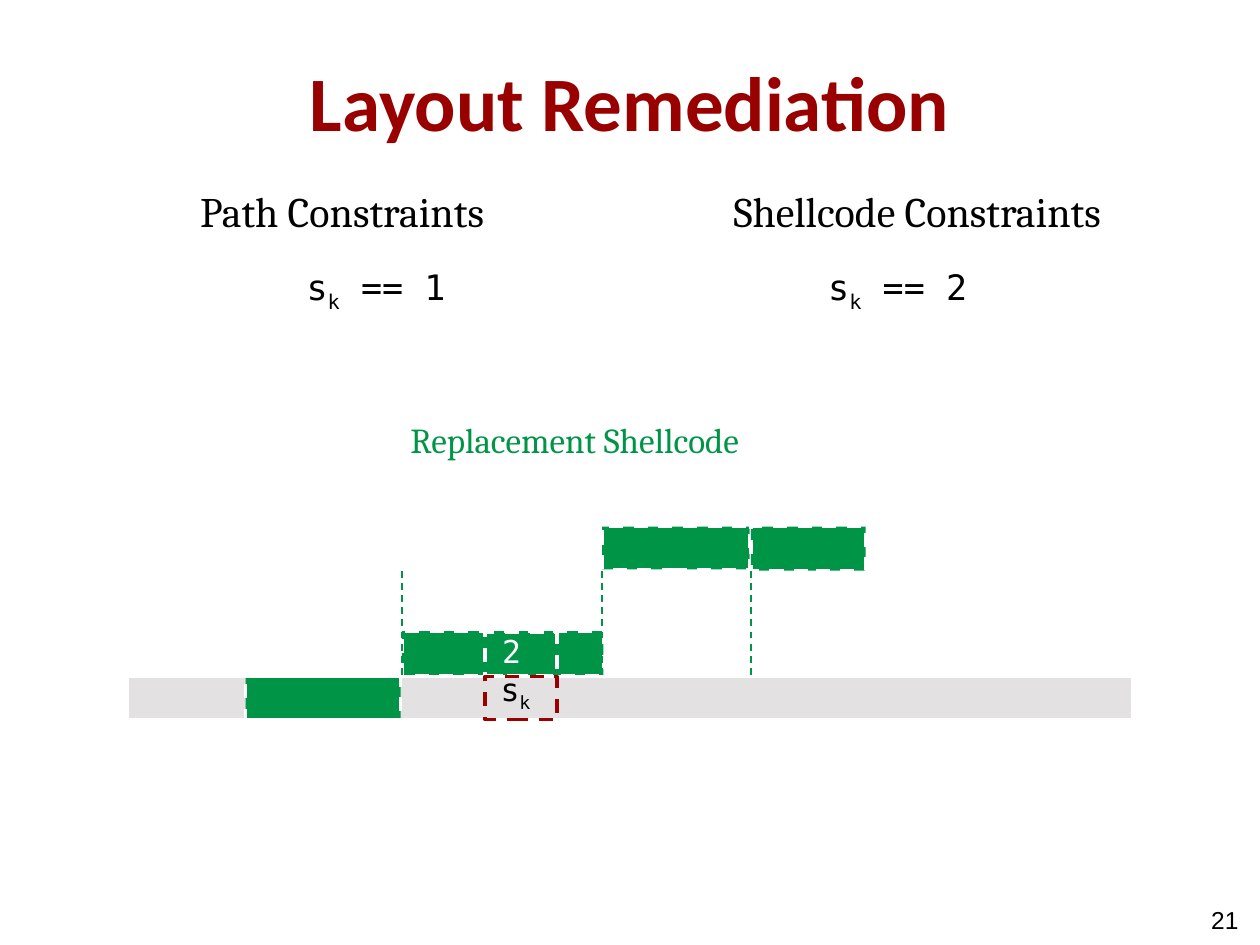
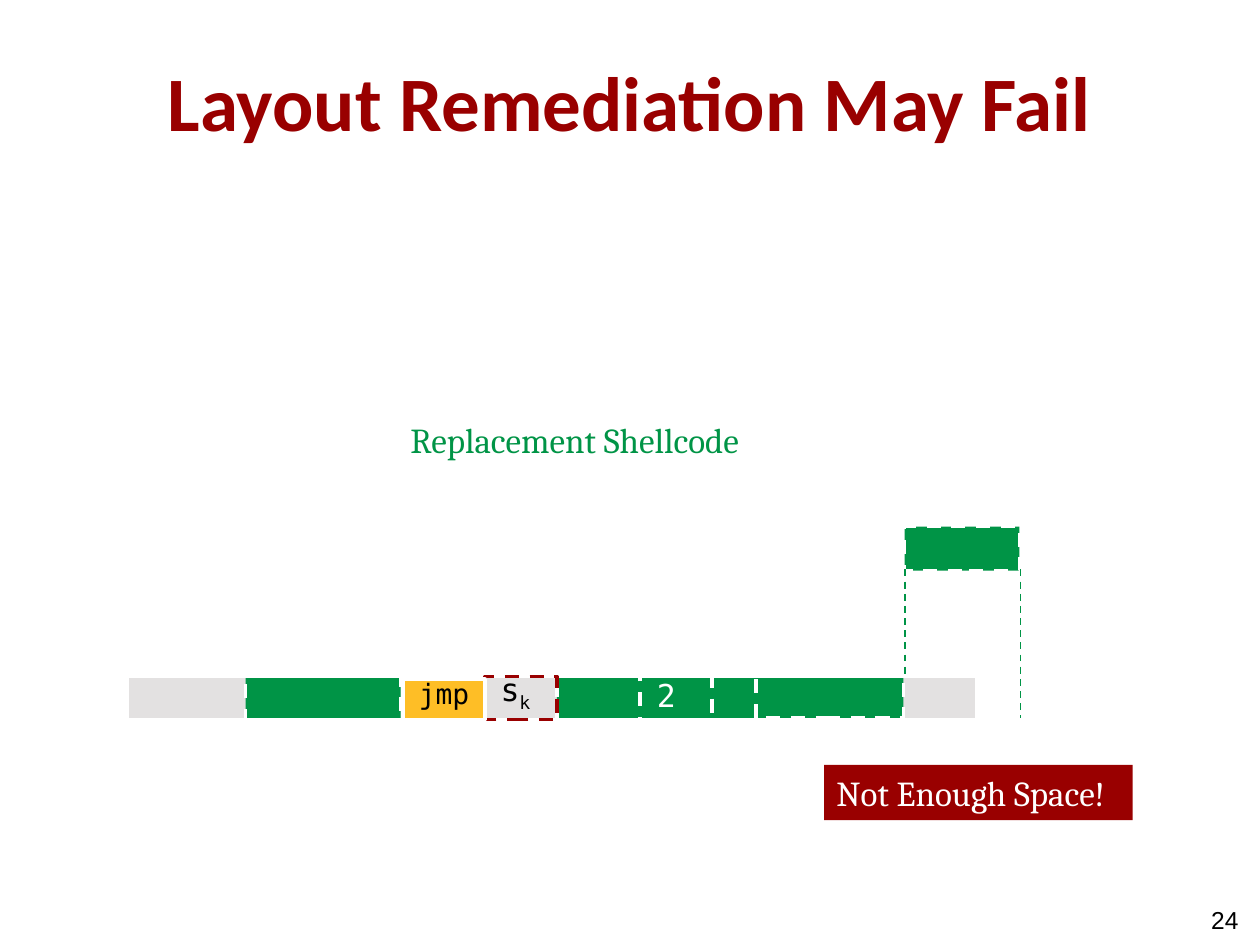
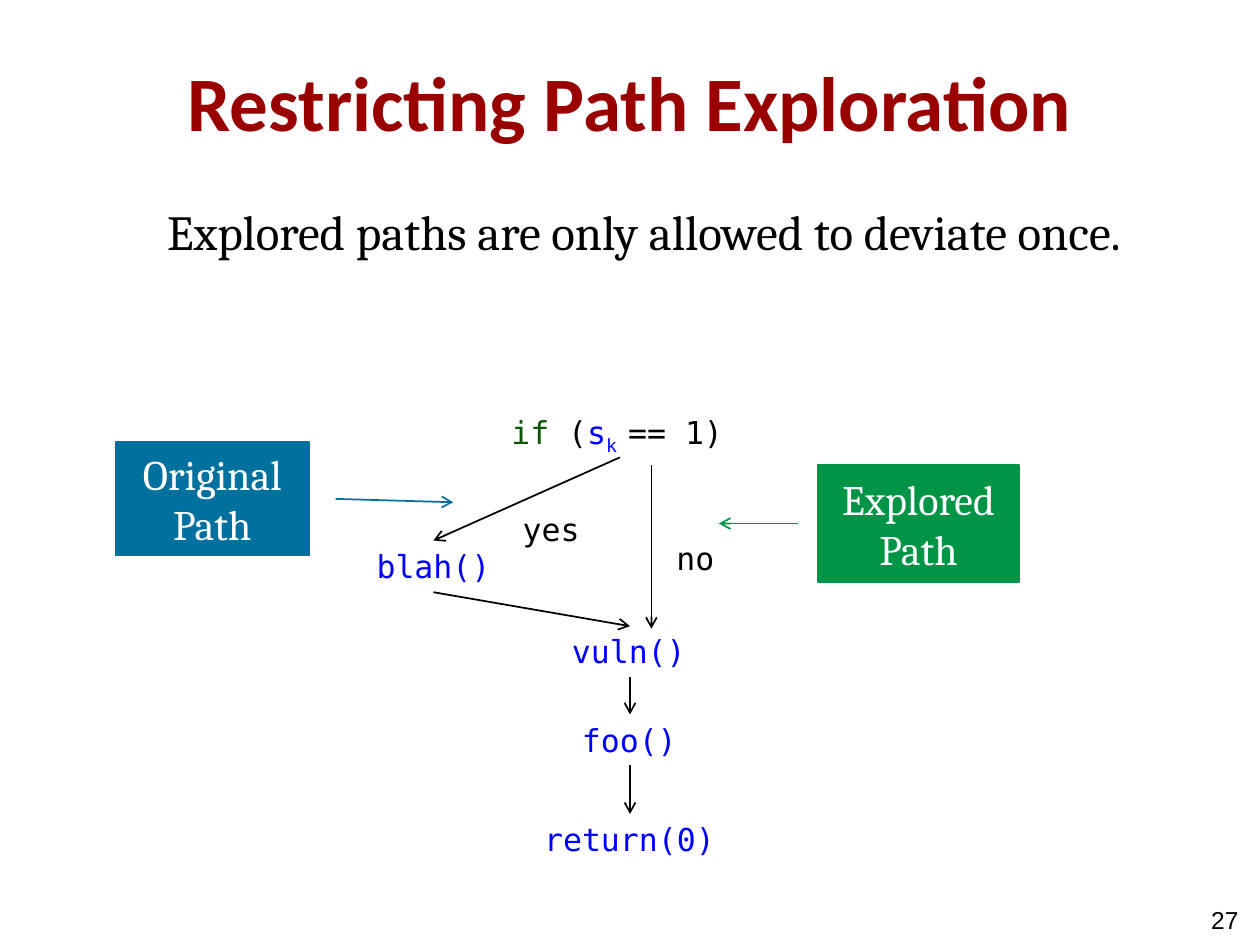
from pptx import Presentation
from pptx.dml.color import RGBColor
from pptx.enum.dml import MSO_LINE as Dash
from pptx.enum.shapes import MSO_CONNECTOR as Link, MSO_SHAPE as Shape
from pptx.enum.text import MSO_ANCHOR as Anchor, PP_ALIGN as Align
from pptx.oxml.ns import qn
from pptx.util import Inches, Pt
from lxml.etree import SubElement

HUES = {
    "red": "990000", "green": "009446", "blue": "00709E", "gold": "FEBE26",
    "gray": "E3E1E1", "white": "FFFFFF", "black": "000000",
    "name": "0000FF", "word": "0B5601",
}
HEAD, SERIF, MONO, SANS = "Calibri", "Cambria", "DejaVu Sans Mono", "Arial"
BAR = (1.01, 5.37, 7.98, 0.34)
FLOW = (2.89, 3.23, 3.0, 3.63)
PLAIN = (0.1, 0.05, 0.1, 0.05)
LOW = (0.1, 0.05, 0.1, 0.15)
EVEN = (0.1, 0.1, 0.1, 0.1)
CELL = (0.1, 0.1, 0.1, 0.15)


def hue(name):
    return RGBColor.from_string(HUES[name])


def write(shape, runs, font, size, color="black", align=Align.LEFT,
          anchor=Anchor.TOP, pad=PLAIN, wrap=True, bold=False):
    """Fill a shape with one paragraph; runs is a string or (text, color, is_sub) items."""
    frame = shape.text_frame
    frame.word_wrap = wrap
    frame.vertical_anchor = anchor
    (frame.margin_left, frame.margin_top,
     frame.margin_right, frame.margin_bottom) = map(Inches, pad)
    para = frame.paragraphs[0]
    para.alignment = align
    if isinstance(runs, str):
        runs = [(runs, color, False)]
    for words, tint, sub in runs:
        run = para.add_run()
        run.text = words
        run.font.name, run.font.size, run.font.bold = font, Pt(size), bold
        run.font.color.rgb = hue(tint)
        if sub:
            run.font._element.set("baseline", "-25000")
    return para


def label(slide, box, runs, font, size, **style):
    return write(slide.shapes.add_textbox(*map(Inches, box)), runs, font, size, **style)


def block(slide, box, fill=None, edge=None, width=2, dash=False, kind=Shape.RECTANGLE):
    shape = slide.shapes.add_shape(kind, *map(Inches, box))
    shape.shadow.inherit = False
    if fill:
        shape.fill.solid()
        shape.fill.fore_color.rgb = hue(fill)
    else:
        shape.fill.background()
    if edge:
        stroke(shape.line, edge, width, dash)
    else:
        shape.line.fill.background()
    return shape


def stroke(line, color, width, dash=False, arrow=False):
    line.color.rgb = hue(color)
    line.width = Pt(width)
    if dash:
        line.dash_style = Dash.DASH
    if arrow:
        SubElement(line._get_or_add_ln(), qn("a:tailEnd"), type="arrow")


def link(slide, start, end, color="black", **style):
    wire = slide.shapes.add_connector(Link.STRAIGHT, *map(Inches, (*start, *end)))
    stroke(wire.line, color, 1, **style)
    SubElement(wire._element.spPr, qn("a:effectLst"))


def start(deck, title, number):
    """Add a slide with the shared title and page number."""
    slide = deck.slides.add_slide(deck.slide_layouts[6])
    label(slide, (0.5, 0.17, 9, 1.25), title, HEAD, 44, color="red",
          align=Align.CENTER, anchor=Anchor.MIDDLE, pad=EVEN, bold=True)
    label(slide, (7.5, 7.1, 2.33, 0.4), str(number), SANS, 14,
          align=Align.RIGHT, anchor=Anchor.MIDDLE, pad=(0, 0, 0, 0))
    return slide


def rule(slide, box, head, value):
    """Constraint heading above its formula."""
    x, y, w, h = box
    label(slide, (x, y + 0.69, 3.13, 0.48),
          [("s", "black", False), ("k", "black", True), (f" == {value}", "black", False)],
          MONO, 20, align=Align.CENTER, anchor=Anchor.MIDDLE, pad=LOW)
    label(slide, box, head, SERIF, 24, align=Align.CENTER, wrap=False)


def cell(slide, box, runs, size=18, color="black", pad=LOW, **look):
    write(block(slide, box, **look), runs, MONO, size, color=color,
          align=Align.CENTER, anchor=Anchor.MIDDLE, pad=pad)


def memory(slide, box, used, chunks, drops, two):
    """Memory bar; chunks are (dx, dy, w, h), drops (dx, top, bottom), two (dx, dy)."""
    x, y, w, h = box
    label(slide, (x + 2.15, y - 2.1, 2.97, 0.44), "Replacement Shellcode",
          SERIF, 20, color="green", wrap=False)
    block(slide, (x, y, used, h), "gray", "white")
    for dx, dy, wide, tall in chunks:
        block(slide, (x + dx, y + dy, wide, tall), "green", "white", dash=True)
    for dx, top, bottom in drops:
        link(slide, (x + dx, y + top), (x + dx, y + bottom), "green", dash=True)
    block(slide, box, edge="white")
    cell(slide, (x + two[0], y + two[1], 0.57, h), "2 ", color="white", pad=CELL,
         edge="white", dash=True)
    cell(slide, (x + 2.84, y, 0.57, h), [("s", "black", False), ("k ", "black", True)],
         edge="red", dash=True)


def layout(deck):
    slide = start(deck, "Layout Remediation", 21)
    rule(slide, (1.42, 1.42, 2.59, 0.5), "Path Constraints", 1)
    rule(slide, (5.56, 1.42, 3.44, 0.5), "Shellcode Constraints", 2)
    memory(slide, BAR, BAR[2],
           [(0.94, 0, 1.23, 0.34), (2.18, -0.36, 1.6, 0.35),
            (3.77, -1.19, 1.17, 0.34), (4.95, -1.19, 0.91, 0.35)],
           [(dx, -0.84, 0) for dx in (2.18, 3.77, 4.95)], (2.84, -0.35))


def failure(deck):
    slide = start(deck, "Layout Remediation May Fail", 24)
    memory(slide, BAR, 6.74,
           [(0.94, 0, 1.23, 0.34), (3.41, -0.01, 1.6, 0.35),
            (4.99, -0.01, 1.17, 0.34), (6.17, -1.19, 0.91, 0.35)],
           [(6.17, -0.85, -0.01), (7.09, -0.85, 0.34)], (4.07, 0))
    x, y, w, h = BAR
    cell(slide, (x + 2.19, y + 0.02, 0.65, 0.32), "jmp", 16, fill="gold", edge="white")
    write(block(slide, (x + w - 2.45, y + 0.7, 2.45, 0.44), "red"),
          "Not Enough Space!", SERIF, 20, color="white", wrap=False)


def callout(slide, box, words, color, ends):
    shape = block(slide, box, color, color, 1, kind=Shape.LINE_CALLOUT_1)
    for i, end in enumerate(ends):
        shape.adjustments[i] = end
    stroke(shape.line, color, 1, arrow=True)
    write(shape, words, SERIF, 24, color="white", align=Align.CENTER, anchor=Anchor.MIDDLE)


def flow(slide, box):
    """Branch from the test down to the return."""
    x, y, w, h = box
    label(slide, (x + 1.07, y, 1.92, 0.4),
          [("if ", "word", False), ("(", "black", False), ("s", "name", False),
           ("k ", "name", True), ("== 1)", "black", False)], MONO, 18, wrap=False)
    calls = [("blah()", 0, 1.06, 1.11), ("vuln()", 1.55, 1.74, 1.11),
             ("foo()", 1.63, 2.44, 0.96), ("return(0)", 1.33, 3.23, 1.57)]
    for words, dx, dy, wide in calls:
        label(slide, (x + dx, y + dy, wide, 0.4), words, MONO, 18,
              color="name", wrap=False)
    mid = 2.11
    arrows = [(2.03, 0.4, 0.55, 1.06), (0.55, 1.47, mid, 1.74), (2.28, 0.46, 2.28, 1.76),
              (mid, 2.14, mid, 2.44), (mid, 2.84, mid, 3.23)]
    for x1, y1, x2, y2 in arrows:
        link(slide, (x + x1, y + y1), (x + x2, y + y2), arrow=True)
    label(slide, (x + 1.16, y + 0.77, 0.66, 0.4), "yes", MONO, 18, wrap=False)
    write(block(slide, (x + 2.38, y + 1, 0.5, 0.4), "white"), "no", MONO, 18, wrap=False)


def paths(deck):
    slide = start(deck, "Restricting Path Exploration", 27)
    para = label(slide, (0.5, 1.5, 9, 1.73),
                 "Explored paths are only allowed to deviate once.", SERIF, 28,
                 align=Align.CENTER, pad=EVEN)
    para.space_before = Pt(6.4)
    para._p.get_or_add_pPr().set("marL", str(Inches(0.22)))
    callout(slide, (6.49, 3.69, 1.6, 0.93), "Explored Path", "green",
            (0.5, -0.1, 0.5, -0.49))
    callout(slide, (0.92, 3.51, 1.53, 0.9), "Original Path", "blue",
            (0.5, 1.14, 0.53, 1.75))
    flow(slide, FLOW)


def main():
    deck = Presentation()
    deck.slide_width, deck.slide_height = Inches(10), Inches(7.5)
    for build in (layout, failure, paths):
        build(deck)
    deck.save("out.pptx")


if __name__ == "__main__":
    main()
